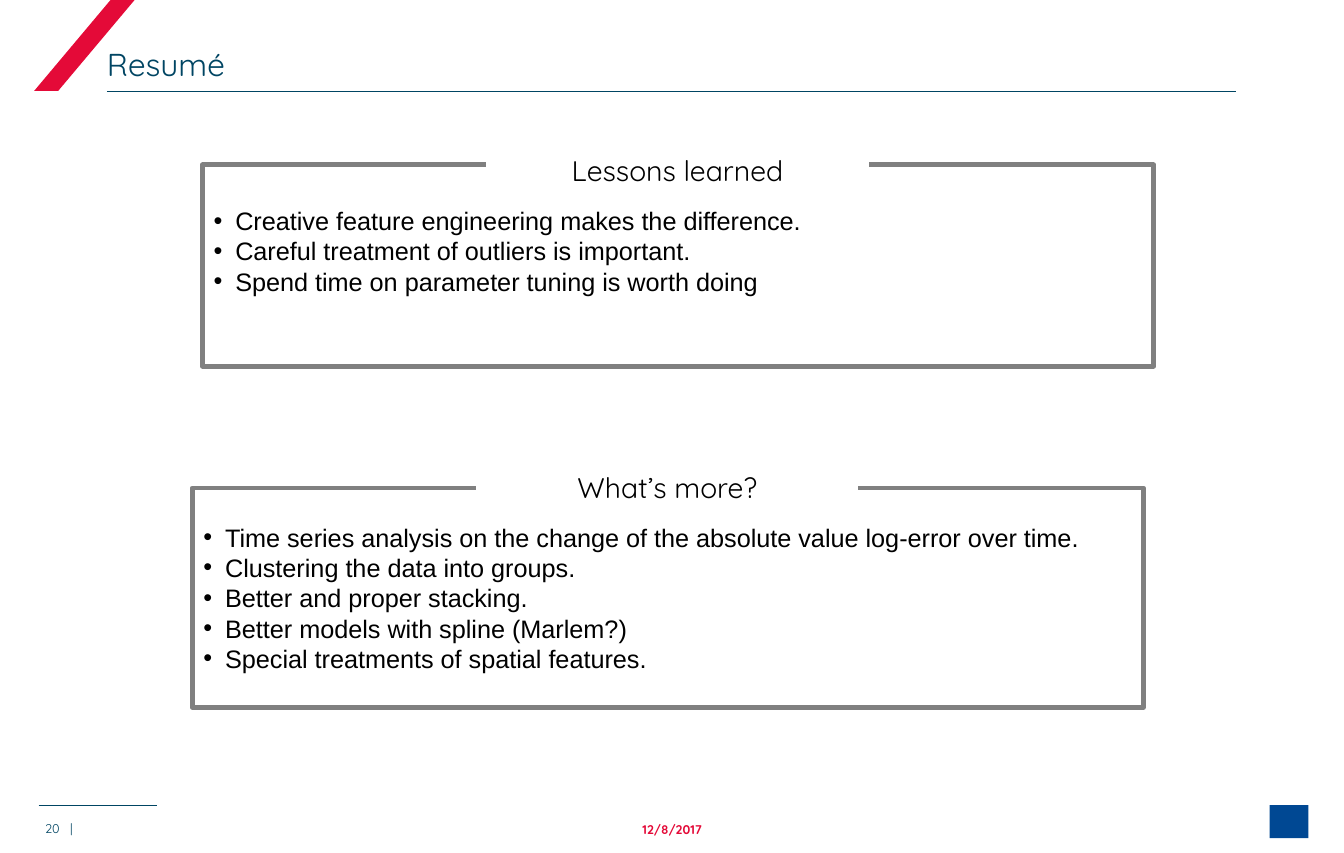
from dataclasses import dataclass

from lxml.etree import SubElement
from pptx import Presentation
from pptx.dml.color import RGBColor
from pptx.enum.shapes import MSO_CONNECTOR, MSO_SHAPE
from pptx.enum.text import MSO_ANCHOR, PP_ALIGN
from pptx.oxml.ns import qn
from pptx.shapes.autoshape import Shape
from pptx.slide import Slide
from pptx.text.text import TextFrame, _Paragraph
from pptx.util import Inches, Pt


@dataclass(frozen=True)
class Theme:
    teal: str = "004563"
    red: str = "E40A38"
    blue: str = "004893"
    gray: str = "808080"
    black: str = "000000"
    white: str = "FFFFFF"
    heading_font: str = "Quicksand"
    body_font: str = "Arial"
    title_size: float = 20
    heading_size: float = 18
    body_size: float = 16
    footer_size: float = 8
    rule_width: float = 0.5
    label_width: float = 0.75
    frame_width: float = 3


@dataclass(frozen=True)
class Box:
    x: float
    y: float
    w: float
    h: float


@dataclass(frozen=True)
class Panel:
    heading: str
    bullets: tuple[str, ...]
    frame: Box
    label: Box
    bottom_inset: float


@dataclass(frozen=True)
class Label:
    text: str
    box: Box
    size: float
    color: str
    align: PP_ALIGN = PP_ALIGN.LEFT
    bold: bool = False


@dataclass(frozen=True)
class Rule:
    x1: float
    x2: float
    y: float


THEME = Theme()

LABELS = (
    Label("Resumé", Box(0.94, 0.36, 9.92, 0.37), THEME.title_size, THEME.teal),
    Label("20   |", Box(0.07, 7.12, 0.57, 0.23), THEME.footer_size, THEME.teal, PP_ALIGN.RIGHT),
    Label("12/8/2017", Box(4.53, 7.12, 2.76, 0.24), THEME.footer_size, THEME.red,
          PP_ALIGN.CENTER, True),
)

RULES = (Rule(0.34, 1.38, 7.08), Rule(0.94, 10.86, 0.8))

PANELS = (
    Panel(
        "Lessons learned",
        (
            "Creative feature engineering makes the difference.",
            "Careful treatment of outliers is important.",
            "Spend time on parameter tuning is worth doing",
        ),
        Box(1.78, 1.45, 8.36, 1.77),
        Box(4.28, 1.22, 3.35, 0.55),
        0.31,
    ),
    Panel(
        "What’s more?",
        (
            "Time series analysis on the change of the absolute value log-error over time.",
            "Clustering the data into groups.",
            "Better and proper stacking.",
            "Better models with spline (Marlem?)",
            "Special treatments of spatial features.",
        ),
        Box(1.69, 4.29, 8.36, 1.93),
        Box(4.19, 4.01, 3.35, 0.55),
        0.05,
    ),
)


def rgb(color: str) -> RGBColor:
    return RGBColor.from_string(color)


def place(box: Box) -> tuple[int, int, int, int]:
    return Inches(box.x), Inches(box.y), Inches(box.w), Inches(box.h)


def add_text(tf: TextFrame, text: str, *, size: float, color: str = THEME.black,
             font: str = THEME.heading_font, align: PP_ALIGN = PP_ALIGN.LEFT,
             bold: bool = False, first: bool = True) -> _Paragraph:
    p = tf.paragraphs[0] if first else tf.add_paragraph()
    p.alignment = align
    r = p.add_run()
    r.text = text
    r.font.name = font
    r.font.size = Pt(size)
    r.font.bold = bold
    r.font.color.rgb = rgb(color)
    return p


def add_bullet(p: _Paragraph) -> None:
    pPr = p._p.get_or_add_pPr()
    pPr.set("marL", str(Inches(0.19)))
    pPr.set("indent", str(-Inches(0.19)))
    SubElement(pPr, qn("a:buFont"), typeface=THEME.body_font)
    SubElement(pPr, qn("a:buChar"), char="•")


def add_box(s: Slide, kind: MSO_SHAPE, box: Box, *, fill: str | None = None,
            line: str | None = None, width: float = 0) -> Shape:
    sp = s.shapes.add_shape(kind, *place(box))
    sp.shadow.inherit = False
    if fill:
        sp.fill.solid()
        sp.fill.fore_color.rgb = rgb(fill)
    else:
        sp.fill.background()
    if line:
        sp.line.color.rgb = rgb(line)
        sp.line.width = Pt(width)
    else:
        sp.line.fill.background()
    sp.text_frame.word_wrap = True
    sp.text_frame.vertical_anchor = MSO_ANCHOR.MIDDLE
    return sp


def add_rule(s: Slide, rule: Rule) -> None:
    y = Inches(rule.y)
    cxn = s.shapes.add_connector(MSO_CONNECTOR.STRAIGHT, Inches(rule.x1), y, Inches(rule.x2), y)
    cxn.line.color.rgb = rgb(THEME.teal)
    cxn.line.width = Pt(THEME.rule_width)
    SubElement(cxn._element.spPr, qn("a:effectLst"))


def add_label(s: Slide, label: Label) -> None:
    tf = s.shapes.add_textbox(*place(label.box)).text_frame
    tf.word_wrap = True
    tf.vertical_anchor = MSO_ANCHOR.BOTTOM
    tf.margin_left = tf.margin_right = tf.margin_top = tf.margin_bottom = 0
    add_text(tf, label.text, size=label.size, color=label.color, align=label.align,
             bold=label.bold)


def add_panel(s: Slide, panel: Panel) -> None:
    frame = add_box(s, MSO_SHAPE.RECTANGLE, panel.frame, line=THEME.gray,
                    width=THEME.frame_width)
    tf = frame.text_frame
    tf.margin_bottom = Inches(panel.bottom_inset)
    for i, bullet in enumerate(panel.bullets):
        add_bullet(add_text(tf, bullet, size=THEME.body_size, font=THEME.body_font,
                            first=i == 0))
    label = add_box(s, MSO_SHAPE.RECTANGLE, panel.label, fill=THEME.white, line=THEME.white,
                    width=THEME.label_width)
    add_text(label.text_frame, panel.heading, size=THEME.heading_size, align=PP_ALIGN.CENTER)


def main() -> None:
    prs = Presentation()
    prs.slide_width, prs.slide_height = Inches(189 / 16), Inches(7.5)
    s = prs.slides.add_slide(prs.slide_layouts[6])
    add_box(s, MSO_SHAPE.RECTANGLE, Box(11.16, 7.08, 0.34, 0.29), fill=THEME.blue)
    slash = add_box(s, MSO_SHAPE.PARALLELOGRAM, Box(0.3, -0.02, 0.9, 0.82), fill=THEME.red)
    slash.adjustments[0] = 0.84
    for rule in RULES:
        add_rule(s, rule)
    for label in LABELS:
        add_label(s, label)
    for panel in PANELS:
        add_panel(s, panel)
    prs.save("out.pptx")


if __name__ == "__main__":
    main()
